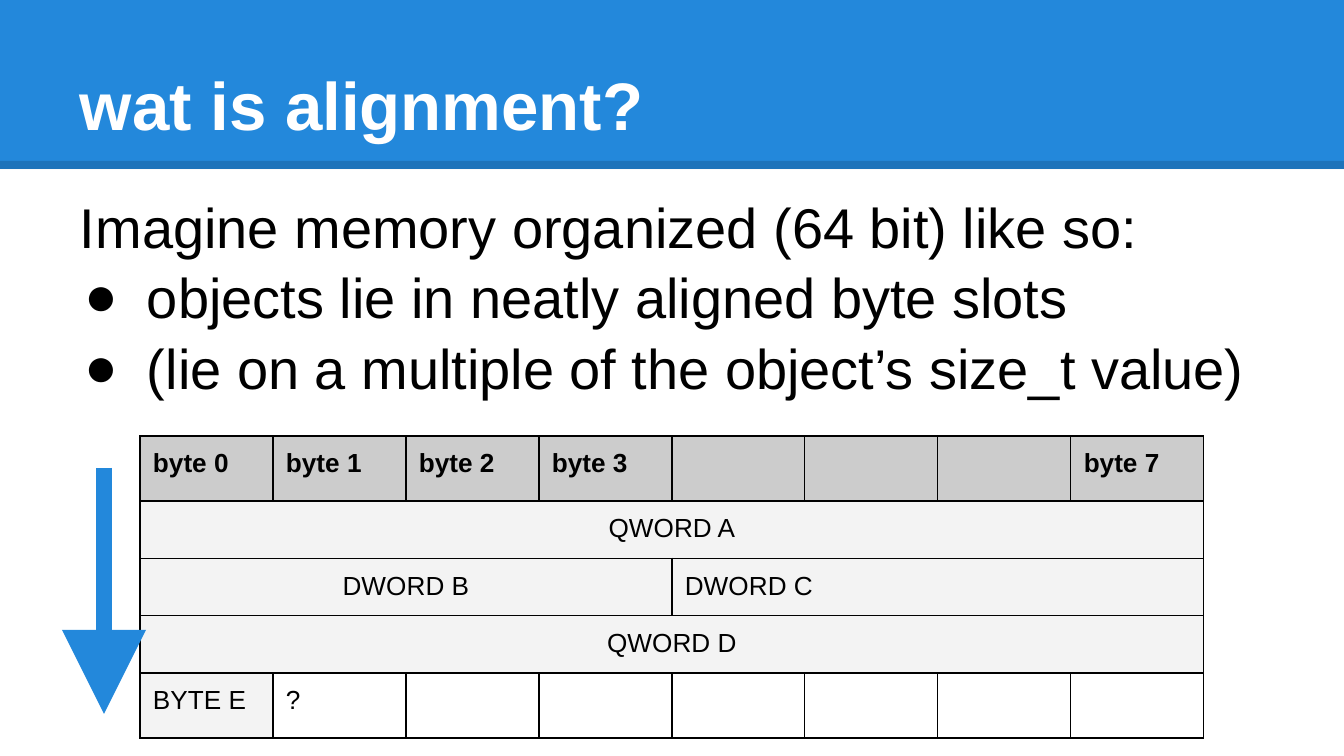
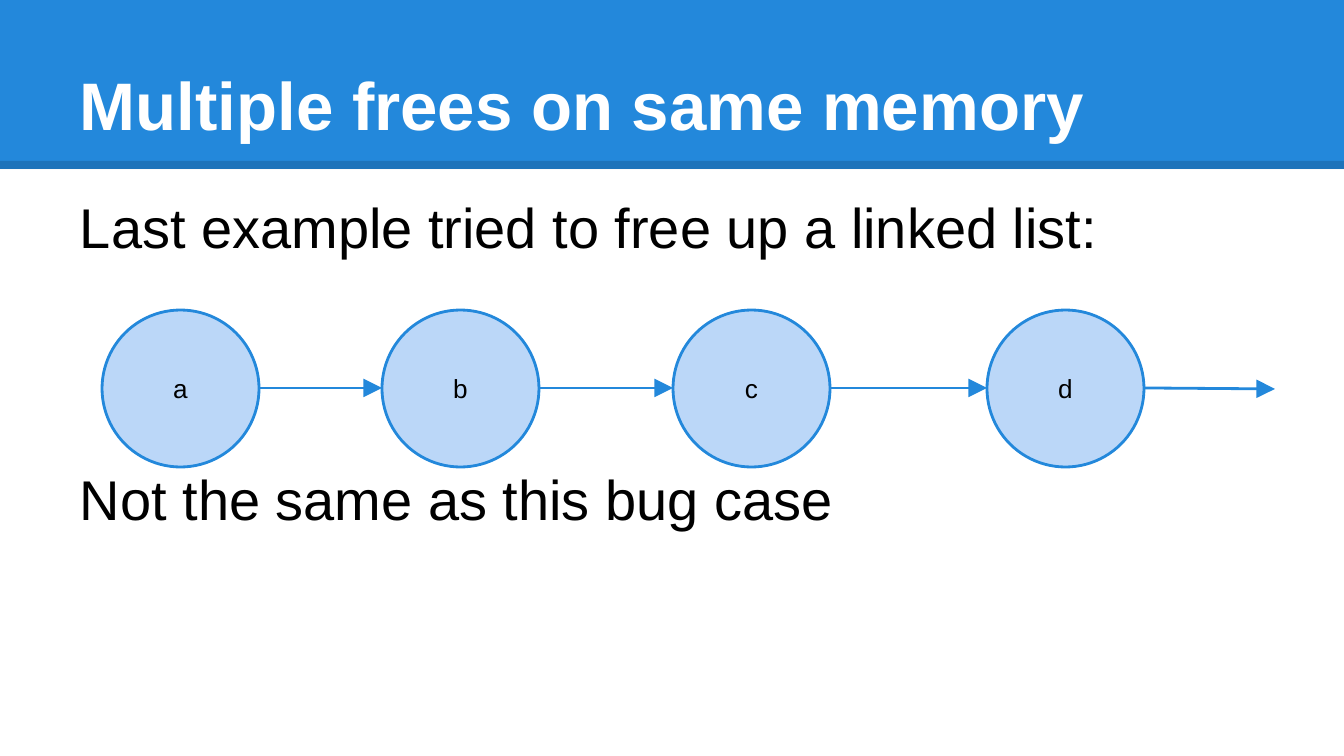
from lxml.etree import SubElement
from pptx import Presentation
from pptx.dml.color import RGBColor
from pptx.enum.shapes import MSO_CONNECTOR as Connector, MSO_SHAPE as Shape
from pptx.enum.text import MSO_ANCHOR as Anchor, PP_ALIGN as Align
from pptx.oxml.ns import qn
from pptx.util import Pt

PX = 914400 / 134.4
W, H = 1344, 756
FONT = "Arial"
BLUE, PALE_BLUE, BLACK, WHITE = "2388DB", "BBD7F8", "000000", "FFFFFF"
HEADER_GREY, FILLED_GREY = "CCCCCC", "F3F3F3"
INSET = 13
BAND_H, RULE_Y = 169, 165
TITLE_BOX = (67, 31, 1210, 126)
BODY_BOX = (67, 176, 1210, 547)

ALIGN_TITLE = "wat is alignment?"
ALIGN_BODY = [
    ("Imagine memory organized (64 bit) like so:", False, 0),
    ("objects lie in neatly aligned byte slots", True, 0),
    ("(lie on a multiple of the object’s size_t value)", True, 0),
]
HEADERS = ["byte 0", "byte 1", "byte 2", "byte 3", "", "", "", "byte 7"]
MEMORY = [
    [(text, 1, HEADER_GREY, Align.LEFT) for text in HEADERS],
    [("QWORD A", 8, FILLED_GREY, Align.CENTER)],
    [("DWORD B", 4, FILLED_GREY, Align.CENTER), ("DWORD C", 4, FILLED_GREY, Align.LEFT)],
    [("QWORD D", 8, FILLED_GREY, Align.CENTER)],
    [("BYTE E", 1, FILLED_GREY, Align.LEFT), ("?", 1, WHITE, Align.LEFT)]
    + [("", 1, WHITE, Align.LEFT)] * 6,
]
TABLE_X, TABLE_Y, COL_W = 140, 436, 133
ROW_HEIGHTS = [65, 56, 56, 56, 65]
ADDRESS_ARROW = (104, 468, 104, 714)

FREES_TITLE = "Multiple frees on same memory"
FREES_BODY = [
    ("Last example tried to free up a linked list:", False, 0),
    ("Not the same as this bug case", False, 108),
]
NODES = [("a", 102), ("b", 382), ("c", 673), ("d", 987)]
NODE_Y, NODE_SIZE = 310, 157
LIST_END = (1275, 389)


def px(*values):
    return [round(v * PX) for v in values]


def rgb(color):
    return RGBColor.from_string(color)


def style(p, size, color=BLACK, bold=False):
    p.font.name, p.font.size, p.font.bold = FONT, Pt(size), bold
    p.font.color.rgb = rgb(color)


def set_insets(target):
    inset, = px(INSET)
    target.margin_left = target.margin_right = inset
    target.margin_top = target.margin_bottom = inset


def add_text(s, box, anchor):
    tf = s.shapes.add_textbox(*px(*box)).text_frame
    tf.word_wrap = True
    tf.vertical_anchor = anchor
    set_insets(tf)
    return tf


def add_line(s, ends, color, width, arrow=False, alpha=None):
    line = s.shapes.add_connector(Connector.STRAIGHT, *px(*ends))
    line.line.color.rgb = rgb(color)
    line.line.width = Pt(width)
    sp_pr = line._element.spPr
    ln = sp_pr.find(qn("a:ln"))
    if alpha:
        SubElement(ln.find(".//" + qn("a:srgbClr")), qn("a:alpha"), val=str(alpha * 1000))
    if arrow:
        SubElement(ln, qn("a:tailEnd"), type="triangle", w="lg", len="lg")
    SubElement(sp_pr, qn("a:effectLst"))


def add_preset(s, shape, box, fill):
    sp = s.shapes.add_shape(shape, *px(*box))
    sp.shadow.inherit = False
    sp.fill.solid()
    sp.fill.fore_color.rgb = rgb(fill)
    return sp


def add_bullet(p):
    p_pr = p._p.get_or_add_pPr()
    left, hang = px(67, -62)
    p_pr.set("marL", str(left))
    p_pr.set("indent", str(hang))
    SubElement(SubElement(p_pr, qn("a:buClr")), qn("a:srgbClr"), val=BLACK)
    SubElement(p_pr, qn("a:buFont"), typeface=FONT)
    SubElement(p_pr, qn("a:buChar"), char="●")


def add_slide(prs, title, body):
    s = prs.slides.add_slide(prs.slide_layouts[6])
    band = add_preset(s, Shape.RECTANGLE, (0, 0, W, BAND_H), BLUE)
    band.line.fill.background()
    add_line(s, (0, RULE_Y, W, RULE_Y), BLACK, 4.5, alpha=15)
    p = add_text(s, TITLE_BOX, Anchor.BOTTOM).paragraphs[0]
    p.text = title
    style(p, 36, WHITE, True)
    tf = add_text(s, BODY_BOX, Anchor.TOP)
    for i, (text, bullet, before) in enumerate(body):
        p = tf.add_paragraph() if i else tf.paragraphs[0]
        p.text = text
        p.line_spacing = 1.05
        p.space_before = Pt(before)
        style(p, 30)
        if bullet:
            add_bullet(p)
    return s


def add_borders(cell):
    tc_pr = cell._tc.get_or_add_tcPr()
    for side in ("lnL", "lnR", "lnT", "lnB"):
        ln = SubElement(tc_pr, qn("a:" + side), w=str(Pt(0.75)))
        SubElement(SubElement(ln, qn("a:solidFill")), qn("a:srgbClr"), val=BLACK)


def add_memory_table(s):
    cols = len(HEADERS)
    box = (TABLE_X, TABLE_Y, COL_W * cols, sum(ROW_HEIGHTS))
    table = s.shapes.add_table(len(MEMORY), cols, *px(*box)).table
    table.first_row = table.horz_banding = False
    for col in table.columns:
        col.width, = px(COL_W)
    for r, (height, slots) in enumerate(zip(ROW_HEIGHTS, MEMORY)):
        table.rows[r].height, = px(height)
        start = 0
        for text, span, fill, align in slots:
            for c in range(start, start + span):
                cell = table.cell(r, c)
                add_borders(cell)
                set_insets(cell)
                cell.fill.solid()
                cell.fill.fore_color.rgb = rgb(fill)
                style(cell.text_frame.paragraphs[0], 14, bold=r == 0)
            first = table.cell(r, start)
            if span > 1:
                first.merge(table.cell(r, start + span - 1))
            p = first.text_frame.paragraphs[0]
            p.alignment = align
            if text:
                p.add_run().text = text
            start += span


def add_linked_list(s):
    for name, x in NODES:
        node = add_preset(s, Shape.OVAL, (x, NODE_Y, NODE_SIZE, NODE_SIZE), PALE_BLUE)
        node.line.color.rgb = rgb(BLUE)
        node.line.width = Pt(1.5)
        tf = node.text_frame
        tf.vertical_anchor = Anchor.MIDDLE
        set_insets(tf)
        p = tf.paragraphs[0]
        p.text = name
        p.alignment = Align.CENTER
        style(p, 14)
    mid = NODE_Y + NODE_SIZE // 2
    targets = [(x, mid) for _, x in NODES[1:]] + [LIST_END]
    for (_, x), target in zip(NODES, targets):
        add_line(s, (x + NODE_SIZE, mid, *target), BLUE, 1.5, arrow=True)


def main():
    prs = Presentation()
    prs.slide_width, prs.slide_height = px(W, H)
    s = add_slide(prs, ALIGN_TITLE, ALIGN_BODY)
    add_memory_table(s)
    add_line(s, ADDRESS_ARROW, BLUE, 9, arrow=True)
    s = add_slide(prs, FREES_TITLE, FREES_BODY)
    add_linked_list(s)
    prs.save("out.pptx")


if __name__ == "__main__":
    main()
